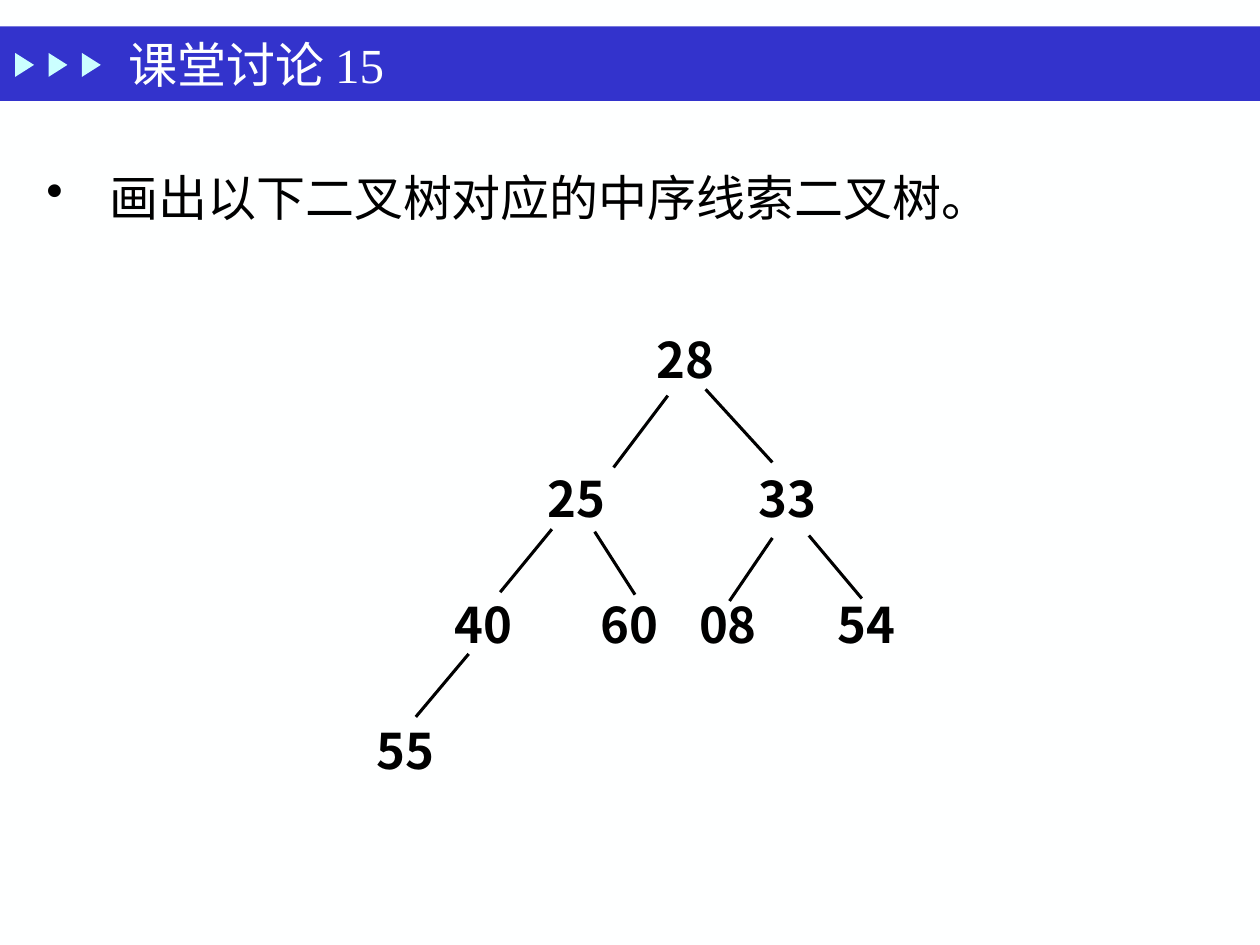
from lxml import etree
from pptx import Presentation
from pptx import util as u
from pptx.dml.color import RGBColor
from pptx.enum import shapes, text
from pptx.oxml.ns import qn

W, H = 10, 7.5
LATIN, CJK = "Times New Roman", "Noto Sans CJK SC"
WHITE, BLACK, BLUE, CYAN = "FEFFFF", "000000", "3333CC", "CBFFFF"

TITLE = "课堂讨论 15"
TASK = "画出以下二叉树对应的中序线索二叉树。"

# Tree: top of each level, then (label, left) of its nodes
NODE_W, NODE_H = 0.69, 0.57
LEVELS = [
    (2.57, [("28", 5.11)]),
    (3.67, [("25", 4.25), ("33", 5.92)]),
    (4.67, [("40", 3.51), ("60", 4.67), ("08", 5.45), ("54", 6.55)]),
    (5.67, [("55", 2.89)]),
]
# Branches: start x, start y, run, drop
BRANCHES = [
    (5.3, 3.14, -0.43, 0.57), (5.6, 3.09, 0.53, 0.58),
    (4.38, 4.2, -0.41, 0.5), (4.72, 4.22, 0.32, 0.5),
    (6.13, 4.27, -0.34, 0.5), (6.42, 4.25, 0.42, 0.5),
    (3.72, 5.19, -0.42, 0.5),
]


def rgb(hex_color):
    return RGBColor.from_string(hex_color)


def write(sp, words, font=LATIN, color=BLACK, bold=False, wrap=True,
          anchor=text.MSO_ANCHOR.TOP, spacing=None, bullet=None):
    tf = sp.text_frame
    tf.word_wrap = wrap
    tf.vertical_anchor = anchor
    p = tf.paragraphs[0]
    p.alignment = text.PP_ALIGN.LEFT
    if spacing:
        p.line_spacing = spacing
    if bullet:
        pPr = p._p.get_or_add_pPr()
        pPr.set("marL", str(u.Inches(0.5)))
        pPr.set("indent", str(u.Inches(-0.5)))
        etree.SubElement(pPr, qn("a:buChar")).set("char", bullet)
    r = p.add_run()
    r.text = words
    r.font.name, r.font.size, r.font.bold = font, u.Pt(28), bold
    r.font.color.rgb = rgb(color)
    etree.SubElement(r._r.get_or_add_rPr(), qn("a:ea")).set("typeface", CJK)


def add_shape(parent, kind, box, color):
    sp = parent.shapes.add_shape(kind, *map(u.Inches, box))
    sp.shadow.inherit = False
    sp.fill.solid()
    sp.fill.fore_color.rgb = rgb(color)
    sp.line.fill.background()
    return sp


def add_branch(parent, x, y, run, drop):
    ends = map(u.Inches, (x, y, x + run, y + drop))
    line = parent.shapes.add_connector(shapes.MSO_CONNECTOR.STRAIGHT, *ends)
    line.line.color.rgb = rgb(BLACK)
    line.line.width = u.Pt(1.75)
    etree.SubElement(line._element.spPr, qn("a:effectLst"))


prs = Presentation()
prs.slide_width, prs.slide_height = u.Inches(W), u.Inches(H)
s = prs.slides.add_slide(prs.slide_layouts[5])
s.background.fill.solid()
s.background.fill.fore_color.rgb = rgb(WHITE)

# Header band with three arrowheads
add_shape(s, shapes.MSO_SHAPE.RECTANGLE, (0, 0.21, W, 0.59), BLUE)
arrows = s.shapes.add_group_shape()
for i in range(3):
    box = (0.1 + 0.265 * i, 0.44, 0.19, 0.15)
    add_shape(arrows, shapes.MSO_SHAPE.ISOSCELES_TRIANGLE, box, CYAN).rotation = 90

# Title, brought in front of the band
title = s.shapes.title
title.left, title.top, title.width, title.height = map(u.Inches, (0.92, 0.26, 7, 0.5))
write(title, TITLE, color=WHITE, anchor=text.MSO_ANCHOR.MIDDLE)
s.shapes._spTree.append(title._element)

# Task
task = s.shapes.add_textbox(*map(u.Inches, (0.27, 1.05, 9.45, 0.89)))
write(task, TASK, spacing=1.5, bullet="•")

# Binary tree
tree = s.shapes.add_group_shape()
for top, nodes in LEVELS:
    for label, left in nodes:
        node = tree.shapes.add_textbox(*map(u.Inches, (left, top, NODE_W, NODE_H)))
        write(node, label, font=CJK, bold=True, wrap=False)
for branch in BRANCHES:
    add_branch(tree, *branch)

prs.save("out.pptx")
